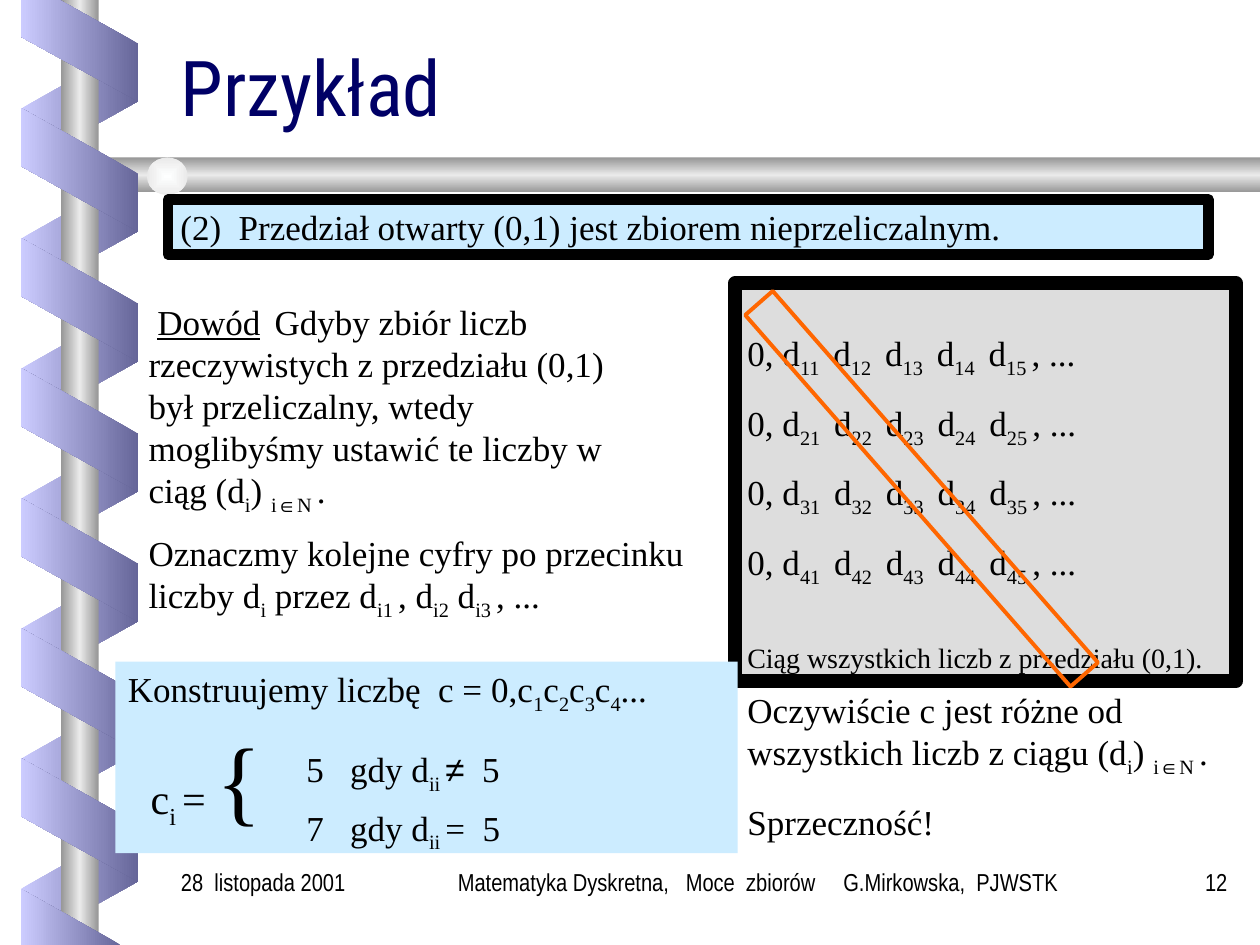
from itertools import groupby

from lxml import etree
from pptx import Presentation, util as u
from pptx.dml.color import RGBColor
from pptx.enum import shapes, text
from pptx.oxml import ns

BLACK = RGBColor(0x00, 0x00, 0x00)
NAVY = RGBColor(0x00, 0x00, 0x66)
SKY = RGBColor(0xCC, 0xEC, 0xFF)
PALE_GREY = RGBColor(0xDD, 0xDD, 0xDD)
ORANGE = RGBColor(0xFF, 0x66, 0x00)
LILAC = RGBColor(0xCC, 0xCC, 0xFF)
VIOLET = RGBColor(0x66, 0x66, 0x99)
STEEL = RGBColor(0x96, 0x96, 0x96)
SILVER = RGBColor(0xEA, 0xEA, 0xEA)
PEARL = RGBColor(0xFE, 0xFF, 0xFF)

SERIF = "Times New Roman"
NARROW = "Arial Narrow"
SYMBOLS = "∈≠"
RIBBON_STEP = 74.3


def child(parent, tag, **attributes):
    """Append a DrawingML element to its parent."""
    return etree.SubElement(parent, ns.qn(tag), attributes)


def paint_gradient(shape, colours, angle=None):
    """Fill a borderless shape with evenly spaced colours, from the centre if no angle is given."""
    shape.shadow.inherit = False
    shape.line.fill.background()
    shape.fill.gradient()
    gradient = shape.element.spPr.find(ns.qn("a:gradFill"))
    for part in list(gradient):
        gradient.remove(part)
    gradient.set("rotWithShape", "0")
    stops = child(gradient, "a:gsLst")
    for index, colour in enumerate(colours):
        stop = child(stops, "a:gs", pos=str(100000 * index // (len(colours) - 1)))
        child(stop, "a:srgbClr", val=str(colour))
    if angle is None:
        centre = child(gradient, "a:path", path="rect")
        child(centre, "a:fillToRect", l="50000", t="50000", r="50000", b="50000")
    else:
        child(gradient, "a:lin", ang=str(angle * 60000), scaled="0")


def add_preset(page, kind, left, top, width, height):
    """Add a preset shape measured in points."""
    return page.shapes.add_shape(kind, u.Pt(left), u.Pt(top), u.Pt(width), u.Pt(height))


def add_ribbon(page, top, front):
    """Add one turn of the spiral, in front of or behind the column."""
    ribbon = add_preset(page, shapes.MSO_SHAPE.PARALLELOGRAM, 10.1, top, 70.6, 67)
    ribbon.adjustments[0] = 0.56
    ribbon.rotation = 270 if front else 90
    if not front:
        ribbon.element.spPr.find(ns.qn("a:xfrm")).set("flipH", "1")
    paint_gradient(ribbon, [VIOLET, LILAC] if front else [LILAC, VIOLET], 180)


def add_outline(page, points, colours, angle):
    """Add a closed gradient polygon through the given points."""
    builder = page.shapes.build_freeform(*points[0], scale=u.Pt(1))
    builder.add_line_segments(points[1:], close=True)
    paint_gradient(builder.convert_to_shape(), colours, angle)


def add_panel(page, area, fill=None, line=None, line_width=0):
    """Add a rectangle with an optional plain fill and border."""
    panel = add_preset(page, shapes.MSO_SHAPE.RECTANGLE, *area)
    panel.shadow.inherit = False
    if fill is None:
        panel.fill.background()
    else:
        panel.fill.solid()
        panel.fill.fore_color.rgb = fill
    if line is None:
        panel.line.fill.background()
    else:
        panel.line.color.rgb = line
        panel.line.width = u.Pt(line_width)
    return panel


def add_box(page, area):
    """Add an empty text box measured in points."""
    return page.shapes.add_textbox(*(u.Pt(length) for length in area))


def add_spans(para, words, **style):
    """Add text in which every second part between bars is a subscript."""
    for index, part in enumerate(words.split("|")):
        for is_symbol, letters in groupby(part, lambda letter: letter in SYMBOLS):
            span = para.add_run()
            span.text = "".join(letters)
            if is_symbol:
                span.font.name = "Arial"
            if index % 2:
                span.font._element.set("baseline", "-25000")
            for name, value in style.items():
                setattr(span.font, name, value)


def add_para(box, words="", size=20, before=0, font=SERIF, colour=BLACK,
             align=text.PP_ALIGN.LEFT, tabs=()):
    """Add a paragraph, reusing the empty first one of a box."""
    frame = box.text_frame
    frame.word_wrap = True
    frame.vertical_anchor = text.MSO_ANCHOR.TOP
    para = frame.paragraphs[0]
    if para.runs:
        para = frame.add_paragraph()
        para.space_before = u.Pt(before)
    para.alignment = align
    if tabs:
        stops = child(para._p.get_or_add_pPr(), "a:tabLst")
        for tab in tabs:
            child(stops, "a:tab", pos=str(u.Pt(tab)), algn="l")
    para.font.name = font
    para.font.size = u.Pt(size)
    para.font.color.rgb = colour
    add_spans(para, words)
    return para


def add_backdrop(page):
    """Draw the column, the crossbar and the spiral ribbon."""
    metal = [STEEL, SILVER, STEEL]
    for turn in range(7):
        add_ribbon(page, 26.5 + turn * RIBBON_STEP, False)
    column = add_preset(page, shapes.MSO_SHAPE.RECTANGLE, 34.8, 0, 21.6, 540)
    paint_gradient(column, metal, 180)
    add_outline(page, [(720, 90), (55, 90), (43, 100), (55, 110), (720, 110)], metal, 90)
    ball = add_preset(page, shapes.MSO_SHAPE.OVAL, 84, 90, 23.3, 21.5)
    paint_gradient(ball, [PEARL, SILVER])
    for turn in range(6):
        add_ribbon(page, 63.5 + turn * RIBBON_STEP, True)
    top_end = [(12, 0), (12, 21), (78.6, 58), (78.6, 25), (34, 0)]
    bottom_end = [(69, 539.5), (12, 507.5), (12, 540)]
    for points in (top_end, bottom_end):
        add_outline(page, points, [VIOLET, LILAC], 180)


def add_proof(page):
    """Write the assumption and the notation for digits."""
    proof = add_box(page, (77.8, 168, 300, 131))
    para = add_para(proof, tabs=[79])
    para._p.pPr.set("indent", str(u.Pt(5)))
    add_spans(para, "Dowód", underline=True)
    add_spans(para, "\tGdyby zbiór liczb rzeczywistych z przedziału (0,1) był przeliczalny, "
                    "wtedy moglibyśmy ustawić te liczby w ciąg (d|i|) |i∈N |.")
    notation = add_box(page, (77.8, 300, 330, 59))
    add_para(notation, "Oznaczmy kolejne cyfry po przecinku liczby d|i| przez "
                       "d|i1 |, d|i2| d|i3 |, ...")


def add_digit_table(page):
    """Write the listed numbers and mark their diagonal."""
    panel = add_panel(page, (420, 162, 286.5, 227), PALE_GREY, BLACK, 8)
    panel.text_frame.margin_top = u.Pt(27.5)
    for row in range(1, 5):
        digits = " ".join(f"d|{row}{column} |" for column in range(1, 6))
        add_para(panel, f"0, {digits}, ...", before=12.5)
    add_para(panel, "Ciąg wszystkich liczb z przedziału (0,1).", size=16, before=30)
    diagonal = add_panel(page, (516.2, 138.2, 20.9, 282.2), line=ORANGE, line_width=2.25)
    diagonal.rotation = 318.8


def add_construction(page):
    """Define the number that differs from every listed one."""
    panel = add_panel(page, (66, 378, 355.5, 109.5), SKY)
    add_para(panel, "Konstruujemy liczbę  c = 0,c|1|c|2|c|3|c|4|...")
    for row, before in (("5\tgdy d|ii |≠  5", 18.5), ("7\tgdy d|ii |=  5", 6)):
        add_para(panel, "\t" + row, before=before, tabs=[102, 127])
    formula = add_panel(page, (79, 408, 91, 72), SKY)
    para = add_para(formula, "c|i |= ", size=24)
    add_spans(para, "{", size=u.Pt(54))


def add_footer(page):
    """Write the date, the course and the page number."""
    for left, width, words, align in (
        (228, 414, "Matematyka Dyskretna,   Moce  zbiorów     G.Mirkowska,  PJWSTK ",
         text.PP_ALIGN.CENTER),
        (648, 60.5, "12", text.PP_ALIGN.RIGHT),
        (96.3, 125.5, "28  listopada 2001", text.PP_ALIGN.LEFT),
    ):
        add_para(add_box(page, (left, 492, width, 36)), words, 14, font=NARROW, align=align)


def main():
    """Build the slide and save it."""
    deck = Presentation()
    deck.slide_width, deck.slide_height = u.Pt(720), u.Pt(540)
    page = deck.slides.add_slide(deck.slide_layouts[6])
    add_backdrop(page)
    title = add_box(page, (96, 33, 612, 45.5))
    add_para(title, "Przykład", 44, font="Roboto Condensed", colour=NAVY).line_spacing = 0.8
    title.text_frame.vertical_anchor = text.MSO_ANCHOR.BOTTOM
    thesis = add_panel(page, (96, 114, 594.5, 31.5), SKY, BLACK, 6)
    add_para(thesis, "(2)  Przedział otwarty (0,1) jest zbiorem nieprzeliczalnym.")
    add_proof(page)
    add_digit_table(page)
    add_construction(page)
    conclusion = add_box(page, (420, 390, 286, 95))
    add_para(conclusion, "Oczywiście c jest różne od wszystkich liczb z ciągu (d|i|) |i∈N |.")
    add_para(conclusion, "Sprzeczność!", before=12.5)
    add_footer(page)
    deck.save("out.pptx")


if __name__ == "__main__":
    main()
